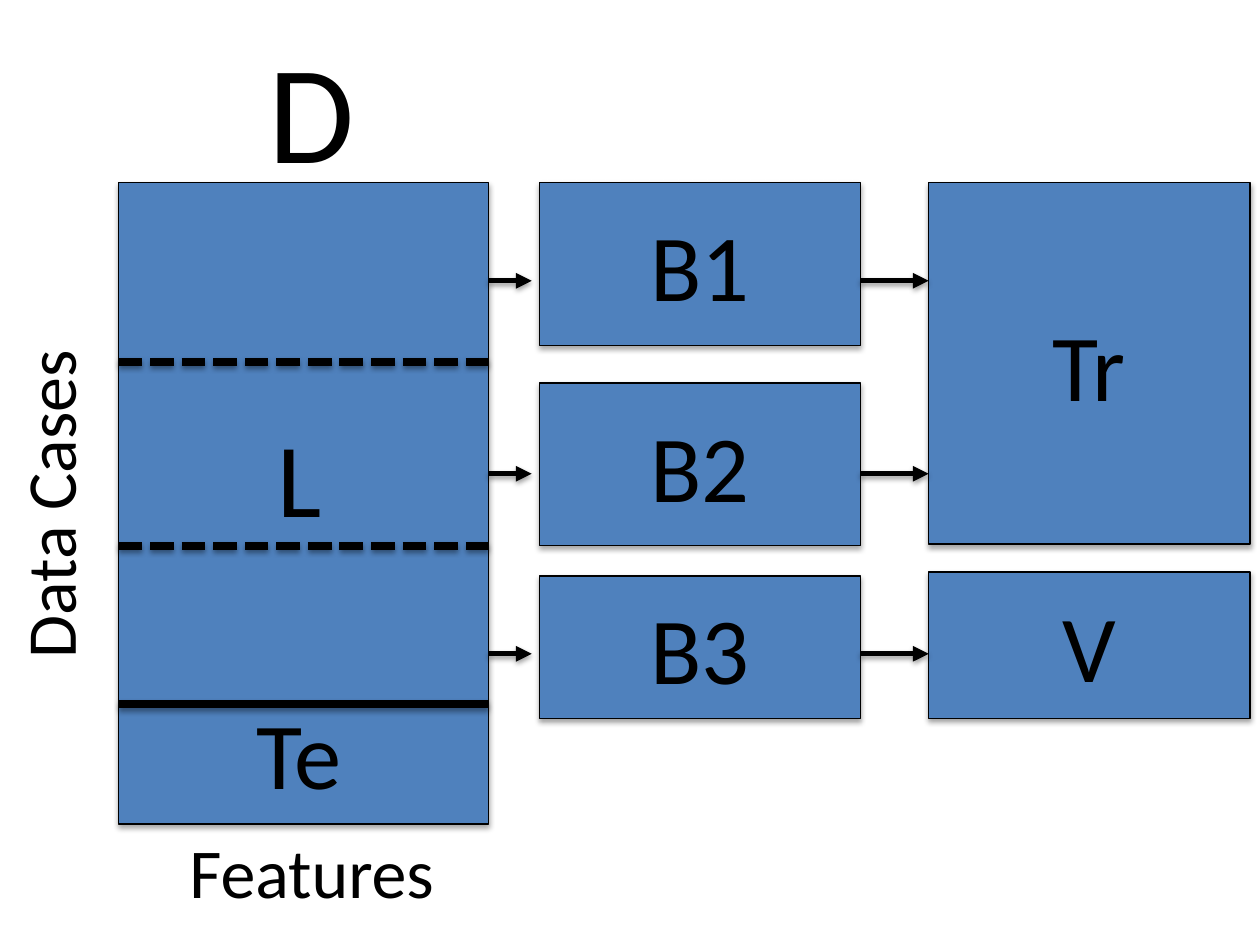
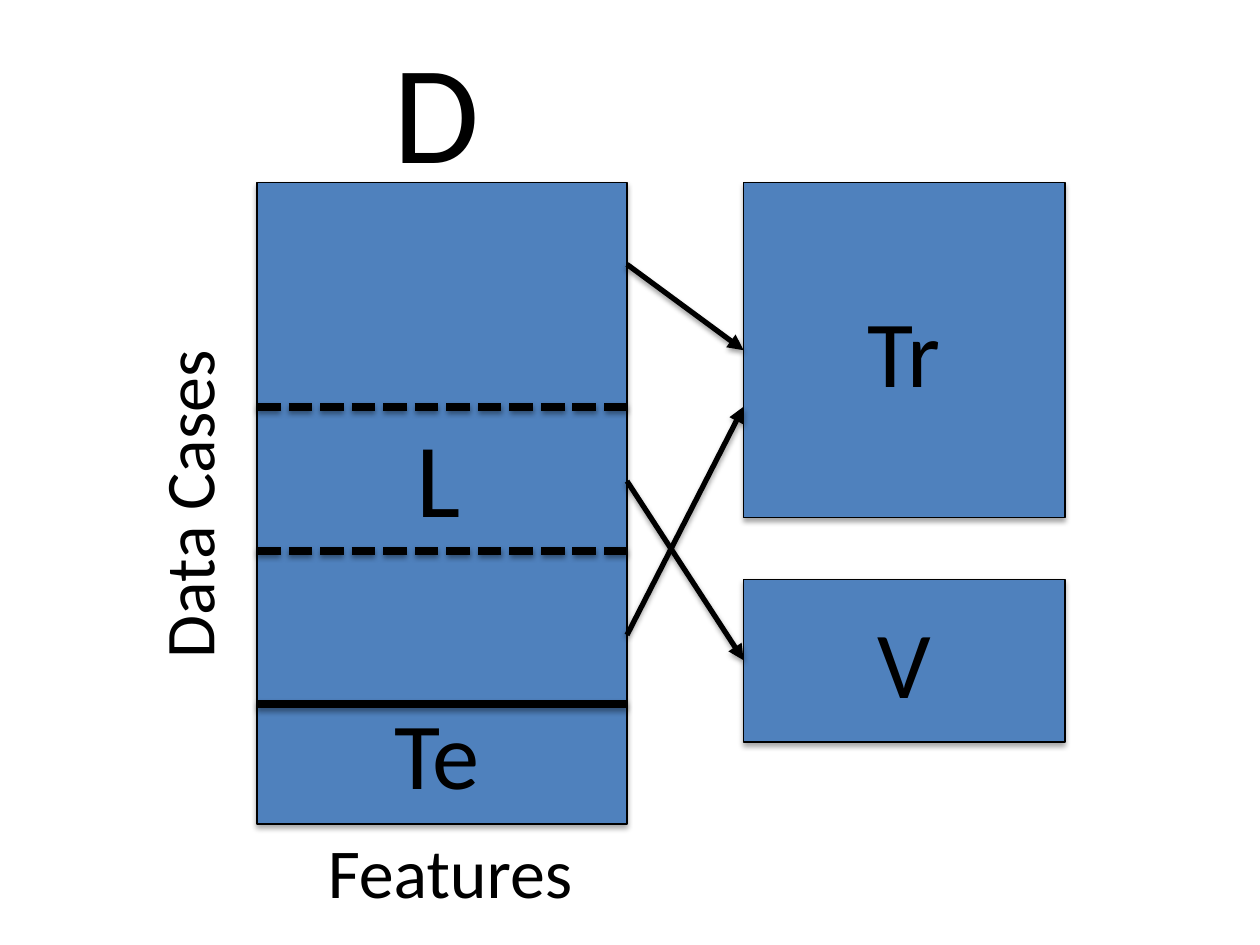
import pptx
import pptx.util
import pptx.dml.color
import pptx.enum.dml
import pptx.enum.shapes
import pptx.enum.text
import pptx.oxml
import pptx.oxml.ns

Cm, Pt = pptx.util.Cm, pptx.util.Pt
BLACK = pptx.dml.color.RGBColor(0x00, 0x00, 0x00)
BLUE = pptx.dml.color.RGBColor(0x4F, 0x81, 0xBD)
FONT = "Calibri"

# Shared measures in cm
TOP = 3.68                      # top edge of the data column and blocks
DATA_W, DATA_H = 7.46, 12.93    # data column
TEST_Y = 10.52                  # test split, below the column's top
BLOCK_W, BLOCK_H = 6.48, 3.28
BLOCK_PT = 54

# Column labels: text, point size, offset from the column's corner, size, rotation
LABELS = [
    ("L", 60, 2.96, 4.52, 1.42, 2.82, 0),
    ("Te", 54, 2.53, 10.21, 2.41, 2.57, 0),
    ("Data Cases", 40, -4.83, 5.44, 6.83, 1.96, 270),
    ("Features", 40, 1.18, 12.9, 5.54, 1.96, 0),
]

BLOCK_FRAME = {
    "vertical_anchor": pptx.enum.text.MSO_ANCHOR.MIDDLE,
    "word_wrap": True,
}
LABEL_FRAME = {
    "word_wrap": False,
    "auto_size": pptx.enum.text.MSO_AUTO_SIZE.SHAPE_TO_FIT_TEXT,
}


def set_all(obj, values):
    for name, value in values.items():
        setattr(obj, name, value)


def add_shadow(sp, opacity, distance):
    """Give a shape or connector a soft shadow straight below it."""
    pr = sp._element.spPr
    for old in pr.findall(pptx.oxml.ns.qn("a:effectLst")):
        pr.remove(old)
    pr.append(pptx.oxml.parse_xml(
        f'<a:effectLst {pptx.oxml.ns.nsdecls("a")}>'
        f'<a:outerShdw blurRad="{Pt(3.1)}" dist="{Pt(distance)}" dir="5400000" '
        'rotWithShape="0"><a:srgbClr val="000000">'
        f'<a:alpha val="{opacity * 1000}"/></a:srgbClr></a:outerShdw></a:effectLst>'))


def write(sp, text, size, frame, align=None):
    tf = sp.text_frame
    set_all(tf, frame)
    p = tf.paragraphs[0]
    p.alignment = align
    r = p.add_run()
    r.text = text
    set_all(r.font, {"name": FONT, "size": Pt(size)})
    r.font.color.rgb = BLACK


def add_box(slide, x, y, w, h, text=None):
    sp = slide.shapes.add_shape(
        pptx.enum.shapes.MSO_SHAPE.RECTANGLE, Cm(x), Cm(y), Cm(w), Cm(h))
    sp.fill.solid()
    sp.fill.fore_color.rgb = BLUE
    sp.line.color.rgb = BLACK
    sp.line.width = Pt(0.75)
    sp.shadow.inherit = False
    add_shadow(sp, 35, 1.8)
    if text:
        write(sp, text, BLOCK_PT, BLOCK_FRAME, pptx.enum.text.PP_ALIGN.CENTER)


def add_label(slide, x, y, w, h, text, size, rotation=0):
    sp = slide.shapes.add_textbox(Cm(x), Cm(y), Cm(w), Cm(h))
    sp.rotation = rotation
    write(sp, text, size, LABEL_FRAME)


def add_line(slide, x1, y1, x2, y2, width=4.5, dashed=False, arrow=False):
    sp = slide.shapes.add_connector(
        pptx.enum.shapes.MSO_CONNECTOR.STRAIGHT, Cm(x1), Cm(y1), Cm(x2), Cm(y2))
    sp.line.color.rgb = BLACK
    sp.line.width = Pt(width)
    if dashed:
        sp.line.dash_style = pptx.enum.dml.MSO_LINE.SQUARE_DOT
    if arrow:
        sp.line._get_or_add_ln().append(pptx.oxml.parse_xml(
            f'<a:tailEnd {pptx.oxml.ns.nsdecls("a")} type="triangle"/>'))
    add_shadow(sp, 38, 1.6)


def add_arrow(slide, x1, y1, x2, y2):
    add_line(slide, x1, y1, x2, y2, width=3, arrow=True)


def data_column(slide, x, y, title_dx, folds):
    """Data set D with its learning folds, test part and axis labels."""
    add_box(slide, x, y, DATA_W, DATA_H)
    add_line(slide, x, y + TEST_Y, x + DATA_W, y + TEST_Y)
    add_label(slide, x + title_dx, y - 3.33, 2.26, 3.68, "D", 80)
    for text, size, dx, dy, w, h, rotation in LABELS:
        add_label(slide, x + dx, y + dy, w, h, text, size, rotation)
    for dy in folds:
        add_line(slide, x, y + dy, x + DATA_W, y + dy, dashed=True)


def block_column(slide, x, y, blocks):
    """Stack of blocks: text, offset below y, height."""
    for text, dy, h in blocks:
        add_box(slide, x, y + dy, BLOCK_W, h, text)


def blocks_slide(prs):
    """Folds become blocks, which become training and validation sets."""
    slide = prs.slides.add_slide(prs.slide_layouts[6])
    data_x, block_x, set_x = 2.39, 10.87, 18.72
    block_column(slide, block_x, TOP, [
        ("B1", 0, BLOCK_H), ("B2", 4.04, BLOCK_H), ("B3", 7.93, 2.87)])
    block_column(slide, set_x, TOP, [("Tr", 0, 7.29), ("V", 7.85, 2.95)])
    data_column(slide, data_x, TOP, 2.77, (3.61, 7.32))
    for dy in (1.98, 5.87, 9.5):
        y = TOP + dy
        add_arrow(slide, data_x + DATA_W, y, block_x - 0.15, y)
        add_arrow(slide, block_x + BLOCK_W, y, set_x, y)


def split_slide(prs):
    """Folds feed the training and validation sets directly."""
    slide = prs.slides.add_slide(prs.slide_layouts[6])
    data_x, set_x = 5.18, 14.99
    block_column(slide, set_x, TOP, [("Tr", 0, 6.76), ("V", 8, BLOCK_H)])
    data_column(slide, data_x, TOP, 2.51, (4.52, 7.42))
    for dy1, dy2 in ((1.65, 3.38), (6.02, 9.63), (9.12, 4.52)):
        add_arrow(slide, data_x + DATA_W, TOP + dy1, set_x, TOP + dy2)


prs = pptx.Presentation()
prs.slide_width, prs.slide_height = Cm(25.4), Cm(19.05)
blocks_slide(prs)
split_slide(prs)
prs.save("out.pptx")
